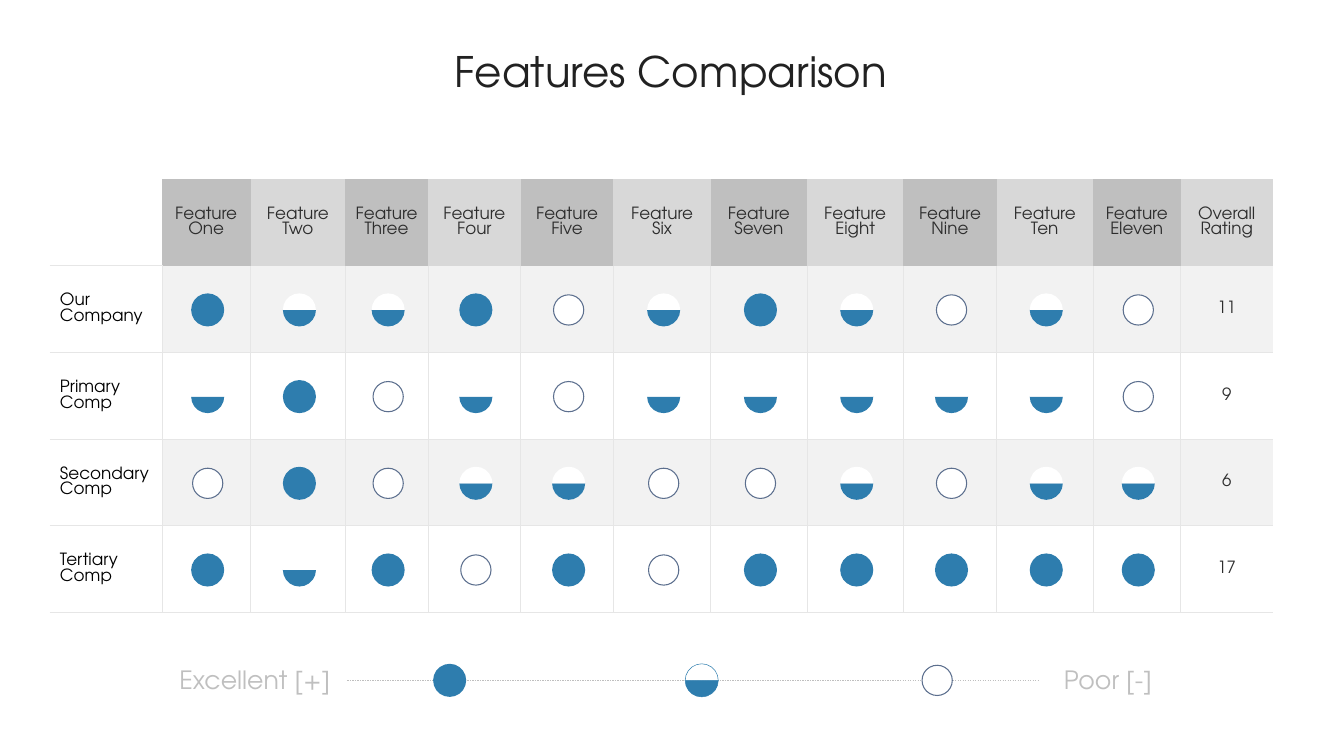
from lxml.etree import SubElement
from pptx import Presentation
from pptx.chart.data import CategoryChartData
from pptx.dml.color import RGBColor
from pptx.enum.chart import XL_CHART_TYPE
from pptx.enum.dml import MSO_LINE
from pptx.enum.shapes import MSO_CONNECTOR, MSO_SHAPE
from pptx.enum.text import MSO_ANCHOR, MSO_AUTO_SIZE, PP_ALIGN
from pptx.oxml import parse_xml
from pptx.oxml.ns import nsdecls, qn
from pptx.util import Inches, Pt

COLORS = {
    "title": "212121", "text": "2D2D2D", "label": "000000", "legend": "BFBFBF",
    "header_dark": "BFBFBF", "header_light": "D8D8D8", "band": "F2F2F2",
    "white": "FFFFFF", "border": "E6E6E6", "full": "2E7DAE", "ring": "5C6F8E",
}
FONT = "TeX Gyre Adventor"

TITLE = "Features Comparison"
NUMBERS = ["One", "Two", "Three", "Four", "Five", "Six", "Seven", "Eight",
           "Nine", "Ten", "Eleven"]
HEADERS = [""] + [f"Feature {number}" for number in NUMBERS] + ["Overall Rating"]
# F = full, H = half, E = empty
COMPANIES = [
    ("Our Company", "FHHFEHFHEHE", "11"),
    ("Primary Comp", "HFEHEHHHHHE", "9"),
    ("Secondary Comp", "EFEHHEEHEHH", "6"),
    ("Tertiary Comp", "FHFEFEFFFFF", "17"),
]
LEGEND_MARKS = [("F", 8.92), ("H", 13.92), ("E", 18.59)]
LEGEND_LABELS = [("Excellent [+]", 3.46, 3.29, PP_ALIGN.LEFT),
                 ("Poor [-]", 20.88, 2.07, PP_ALIGN.RIGHT)]

TABLE_LEFT, TABLE_TOP, ROW_HEIGHT = 0.99, 3.55, 1.72
COLUMN_WIDTHS = [2.22, 1.76, 1.88, 1.64, 1.84, 1.84, 1.93, 1.91, 1.91, 1.85,
                 1.91, 1.74, 1.83]
LEGEND_Y = 13.5
CHART_WIDTH, CHART_HEIGHT = 1.06, 0.94
PIE_SIZE, RING_SIZE = 0.66, 0.6
PIE_VALUES = {"F": (100, 0), "H": (50, 50)}


def color(name):
    return RGBColor.from_string(COLORS[name])


def write(text_frame, text, size, color_name, alignment):
    paragraph = text_frame.paragraphs[0]
    paragraph.alignment = alignment
    run = paragraph.add_run()
    run.text = text
    run.font.name = FONT
    run.font.size = Pt(size)
    run.font.color.rgb = color(color_name)
    return paragraph


def set_borders(cell, row, column):
    """Rule the body with thin lines, leaving the header and outer sides open."""
    body, first, last = row > 0, column == 0, column == len(HEADERS) - 1
    visible = {"L": body and not first, "R": body and not last,
               "T": row > 1 or (body and first), "B": body or first}
    properties = cell._tc.get_or_add_tcPr()
    for side, shown in visible.items():
        line = SubElement(properties, qn(f"a:ln{side}"), w=str(Pt(1)))
        if shown:
            fill = SubElement(line, qn("a:solidFill"))
            SubElement(fill, qn("a:srgbClr"), val=COLORS["border"])
        else:
            SubElement(line, qn("a:noFill"))


def cell_fill(row, column):
    if column == 0:
        return "white"
    if row == 0:
        return "header_dark" if column % 2 else "header_light"
    return "band" if row % 2 else "white"


def add_comparison_table(slide):
    rows = [HEADERS] + [[name] + [""] * len(marks) + [rating]
                        for name, marks, rating in COMPANIES]
    table = slide.shapes.add_table(
        len(rows), len(HEADERS), Inches(TABLE_LEFT), Inches(TABLE_TOP),
        Inches(sum(COLUMN_WIDTHS)), Inches(ROW_HEIGHT * len(rows))).table
    for column, width in zip(table.columns, COLUMN_WIDTHS):
        column.width = Inches(width)
    for r, texts in enumerate(rows):
        table.rows[r].height = Inches(ROW_HEIGHT)
        for c, text in enumerate(texts):
            cell = table.cell(r, c)
            set_borders(cell, r, c)
            cell.fill.solid()
            cell.fill.fore_color.rgb = color(cell_fill(r, c))
            cell.vertical_anchor = MSO_ANCHOR.MIDDLE
            cell.margin_left = cell.margin_right = Inches(0.2)
            cell.margin_top = cell.margin_bottom = Inches(0.1)
            if text:
                write(cell.text_frame, text, 24, "text" if c else "label",
                      PP_ALIGN.CENTER if c else PP_ALIGN.LEFT)


def add_ring(slide, x, y):
    ring = slide.shapes.add_shape(
        MSO_SHAPE.OVAL, Inches(x - RING_SIZE / 2), Inches(y - RING_SIZE / 2),
        Inches(RING_SIZE), Inches(RING_SIZE))
    ring.shadow.inherit = False
    ring.fill.solid()
    ring.fill.fore_color.rgb = color("white")
    ring.line.color.rgb = color("ring")
    ring.line.width = Pt(1.5)


def add_pie(slide, x, y, values, outlined):
    data = CategoryChartData()
    data.categories = ["1", "2"]
    data.add_series("Series 1", values)
    chart = slide.shapes.add_chart(
        XL_CHART_TYPE.PIE, Inches(x - CHART_WIDTH / 2), Inches(y - CHART_HEIGHT / 2),
        Inches(CHART_WIDTH), Inches(CHART_HEIGHT), data).chart
    chart.has_legend = False
    chart.has_title = False
    chart.font.name = "Calibri"
    chart.font.size = Pt(10)
    chart.font.color.rgb = color("text")
    plot = chart.plots[0]
    plot.vary_by_categories = True
    for index, name in enumerate(("full", "white")):
        point_format = plot.series[0].points[index].format
        point_format.fill.solid()
        point_format.fill.fore_color.rgb = color(name)
        if outlined:
            point_format.line.color.rgb = color("full")
            point_format.line.width = Pt(0.75)
        else:
            point_format.line.fill.background()

    chart_space = chart._chartSpace
    chart_space.find(qn("c:txPr")).addprevious(parse_xml(
        f'<c:spPr {nsdecls("c", "a")}><a:noFill/><a:ln><a:noFill/></a:ln></c:spPr>'))
    pie = next(chart_space.iter(qn("c:pieChart")))
    for old_angle in pie.findall(qn("c:firstSliceAng")):
        pie.remove(old_angle)
    SubElement(pie, qn("c:firstSliceAng"), val="90")
    plot_area = pie.getparent()
    for old_layout in plot_area.findall(qn("c:layout")):
        plot_area.remove(old_layout)
    width, height = PIE_SIZE / CHART_WIDTH, PIE_SIZE / CHART_HEIGHT
    plot_area.insert(0, parse_xml(
        f'<c:layout {nsdecls("c")}><c:manualLayout><c:layoutTarget val="inner"/>'
        '<c:xMode val="edge"/><c:yMode val="edge"/>'
        f'<c:x val="{(1 - width) / 2:.2f}"/><c:y val="{(1 - height) / 2:.2f}"/>'
        f'<c:w val="{width:.2f}"/><c:h val="{height:.2f}"/>'
        '</c:manualLayout></c:layout>'))


def add_mark(slide, mark, x, y, outlined=False):
    if mark == "E":
        add_ring(slide, x, y)
    else:
        add_pie(slide, x, y, PIE_VALUES[mark], outlined)


def add_legend(slide):
    line = slide.shapes.add_connector(
        MSO_CONNECTOR.STRAIGHT, Inches(6.89), Inches(LEGEND_Y),
        Inches(20.6), Inches(LEGEND_Y))
    line.line.color.rgb = color("legend")
    line.line.width = Pt(0.5)
    line.line.dash_style = MSO_LINE.DASH
    SubElement(line._element.spPr, qn("a:effectLst"))
    for mark, x in LEGEND_MARKS:
        add_mark(slide, mark, x, LEGEND_Y, outlined=mark == "H")
    for text, left, width, alignment in LEGEND_LABELS:
        box = slide.shapes.add_textbox(Inches(left), Inches(13.14),
                                       Inches(width), Inches(0.71))
        box.text_frame.word_wrap = True
        write(box.text_frame, text, 36, "legend", alignment)


def main():
    presentation = Presentation()
    presentation.slide_width = Inches(26.66)
    presentation.slide_height = Inches(15)
    slide = presentation.slides.add_slide(presentation.slide_layouts[5])

    title = slide.shapes.title
    title.left, title.top = Inches(4.35), Inches(0.93)
    title.width, title.height = Inches(17.91), Inches(1.07)
    title.text_frame.auto_size = MSO_AUTO_SIZE.NONE
    title.text_frame.vertical_anchor = MSO_ANCHOR.TOP
    write(title.text_frame, TITLE, 60, "title", PP_ALIGN.CENTER).line_spacing = 0.95

    add_comparison_table(slide)
    for row, (_, marks, _) in enumerate(COMPANIES, start=1):
        y = TABLE_TOP + (row + 0.5) * ROW_HEIGHT + 0.02
        for column, mark in enumerate(marks, start=1):
            x = TABLE_LEFT + sum(COLUMN_WIDTHS[:column]) + COLUMN_WIDTHS[column] / 2
            add_mark(slide, mark, x + 0.03, y)
    add_legend(slide)
    presentation.save("out.pptx")


if __name__ == "__main__":
    main()
